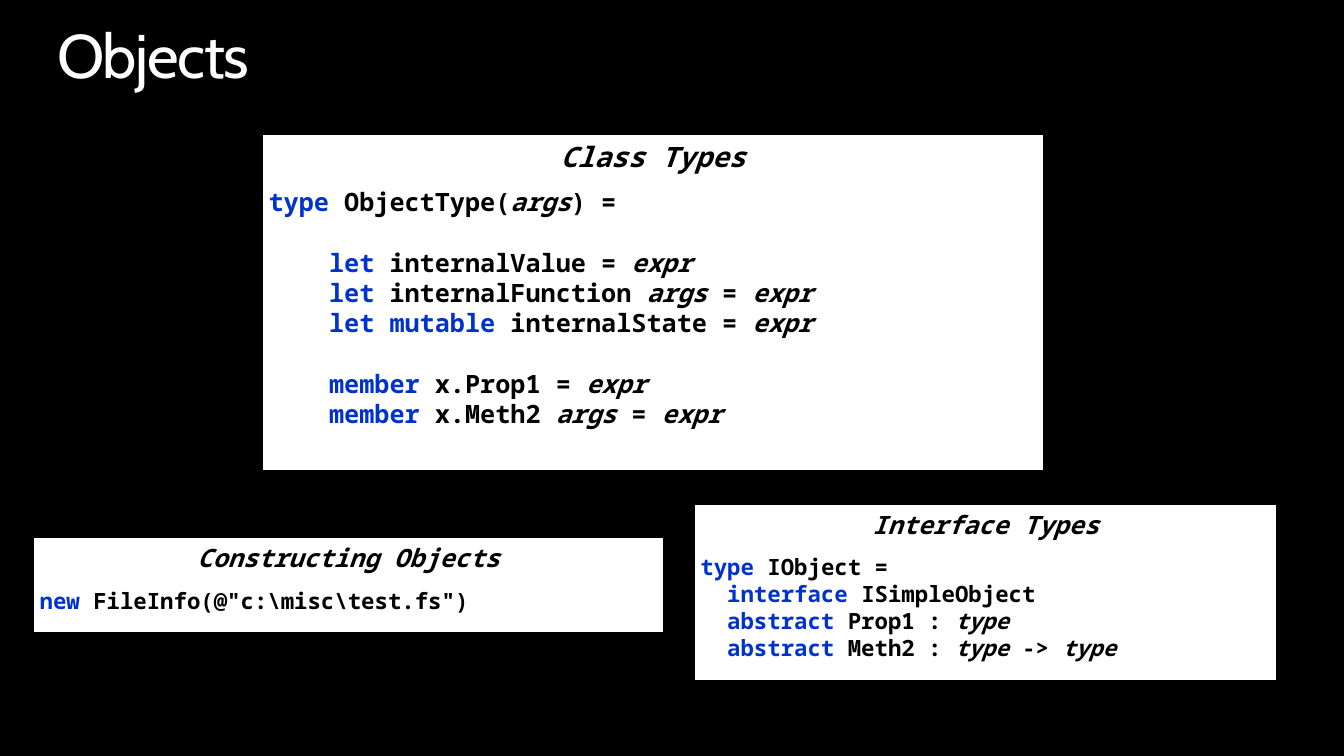
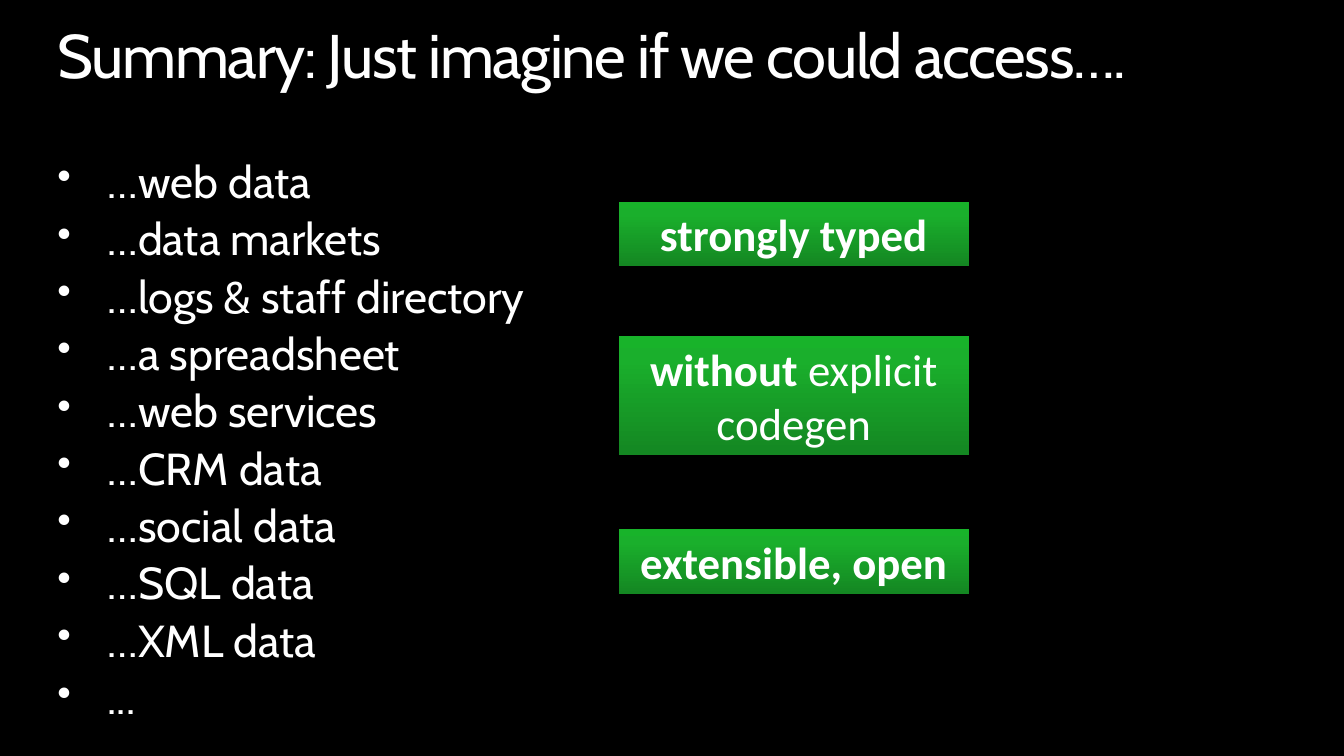
from copy import deepcopy

from pptx import Presentation
from pptx.dml.color import RGBColor
from pptx.enum.shapes import MSO_SHAPE as Shape
from pptx.enum.text import MSO_ANCHOR as Anchor, MSO_AUTO_SIZE as AutoSize, PP_ALIGN as Align
from pptx.oxml.ns import qn
from pptx.util import Pt

BLACK, WHITE, KEYWORD_BLUE = "000000", "FFFFFF", "0033CC"
GREENS = [(0, "148722"), (0.8, "1AAF2C"), (1, "18B32A")]
LEFT, CONTENT_WIDTH = 41, 878

CLASS_CODE = """|type |ObjectType(*args*) =

    |let |internalValue = *expr*
    |let |internalFunction *args *= *expr*
    |let mutable |internalState = *expr*

    |member |x.Prop1 = *expr*
    |member |x.Meth2 *args* = *expr*"""

INTERFACE_CODE = """|type |IObject =
  |interface |ISimpleObject
  |abstract |Prop1 : *type*
  |abstract |Meth2 : *type* -> *type*"""

CONSTRUCTION_CODE = r'|new |FileInfo(@"c:\misc\test.fs")'

DATA_SOURCES = [
    "…web data", "…data markets", "…logs & staff directory", "…a spreadsheet",
    "…web services", "…CRM data", "…social data", "…SQL data", "…XML data", "...",
]


def rgb(color):
    return RGBColor.from_string(color)


def set_all(target, values):
    for name, value in values.items():
        setattr(target, name, value)


def set_font(font, style):
    values = dict(style)
    font.color.rgb = rgb(values.pop("color"))
    set_all(font, values)


class Deck:
    TITLE = dict(name="Cabin", size=Pt(44), color=WHITE)
    BODY = dict(name="Cabin", size=Pt(32), color=WHITE)
    CODE = dict(name="Noto Sans Mono", bold=True, color=BLACK)
    CALLOUT = dict(name="Calibri", size=Pt(32), color=WHITE)

    def __init__(self):
        self.presentation = Presentation()
        set_all(self.presentation, dict(slide_width=Pt(960), slide_height=Pt(540)))
        self.slide = None

    def add_slide(self, title):
        self.slide = self.presentation.slides.add_slide(self.presentation.slide_layouts[6])
        fill = self.slide.background.fill
        fill.solid()
        fill.fore_color.rgb = rgb(BLACK)
        paragraph = self.text_box(18, 48).paragraphs[0]
        paragraph.line_spacing = 0.9
        run = self.add_run(paragraph, title, self.TITLE)
        run.font._element.set("spc", "-100")

    def frame(self, shape, horizontal, vertical, **values):
        """Set the insets and wrapping of a shape and return its text frame."""
        text_frame = shape.text_frame
        set_all(text_frame, dict(
            margin_left=Pt(horizontal), margin_right=Pt(horizontal),
            margin_top=Pt(vertical), margin_bottom=Pt(vertical),
            word_wrap=True, **values))
        return text_frame

    def text_box(self, top, height):
        shape = self.slide.shapes.add_textbox(Pt(LEFT), Pt(top), Pt(CONTENT_WIDTH), Pt(height))
        return self.frame(shape, 0, 0)

    def add_shape(self, kind, box):
        shape = self.slide.shapes.add_shape(kind, *map(Pt, box))
        shape.shadow.inherit = False
        return shape

    def add_run(self, paragraph, text, style):
        run = paragraph.add_run()
        run.text = text
        set_font(run.font, style)
        return run

    def add_marked(self, paragraph, text, style, keyword, emphasis):
        """Add runs, with |keyword| and *emphasis* marks changing the style."""
        for i, part in enumerate(text.split("|")):
            for j, piece in enumerate(part.split("*")):
                if piece:
                    extra = {**(keyword if i % 2 else {}), **(emphasis if j % 2 else {})}
                    self.add_run(paragraph, piece, {**style, **extra})

    def bullets(self, items, top, height):
        text_frame = self.text_box(top, height)
        for index, item in enumerate(items):
            paragraph = text_frame.add_paragraph() if index else text_frame.paragraphs[0]
            properties = paragraph._p.get_or_add_pPr()
            properties.set("marL", str(Pt(36)))
            properties.set("indent", str(-Pt(36)))
            for tag, name, value in (("a:buSzPct", "val", "90000"), ("a:buChar", "char", "•")):
                properties.append(properties.makeelement(qn(tag), {name: value}))
            set_all(paragraph, dict(line_spacing=0.9, space_before=Pt(6.4 if index else 0)))
            set_font(paragraph.font, self.BODY)
            self.add_run(paragraph, item, self.BODY)

    def code_panel(self, heading, code, box, heading_size, code_size):
        shape = self.add_shape(Shape.RECTANGLE, box)
        shape.fill.solid()
        shape.fill.fore_color.rgb = rgb(WHITE)
        shape.line.color.rgb = rgb(BLACK)
        shape.line.width = Pt(0.75)
        text_frame = self.frame(shape, 4.3, 3.6, vertical_anchor=Anchor.TOP)
        paragraph = text_frame.paragraphs[0]
        set_all(paragraph, dict(alignment=Align.CENTER, space_after=Pt(10)))
        self.add_run(paragraph, heading, {**self.CODE, "size": Pt(heading_size), "italic": True})
        gap = 0
        for line in code.split("\n"):
            if not line:
                gap = 1.2 * code_size
                continue
            paragraph = text_frame.add_paragraph()
            set_all(paragraph, dict(alignment=Align.LEFT, space_before=Pt(gap)))
            self.add_marked(paragraph, line, {**self.CODE, "size": Pt(code_size)},
                            keyword=dict(color=KEYWORD_BLUE), emphasis=dict(italic=True))
            gap = 0

    def callout(self, text, top, height):
        shape = self.add_shape(Shape.RECTANGULAR_CALLOUT, (442, top, 250, height))
        shape.adjustments[0], shape.adjustments[1] = -0.27, -0.5
        shape.line.fill.background()
        fill = shape.fill
        fill.gradient()
        fill.gradient_angle = 90
        stop_list = shape._element.spPr.find(".//" + qn("a:gsLst"))
        stop_list.append(deepcopy(stop_list[-1]))
        for stop, (position, color) in zip(fill.gradient_stops, GREENS):
            stop.position = position
            stop.color.rgb = rgb(color)
        text_frame = self.frame(shape, 7.2, 3.6, vertical_anchor=Anchor.MIDDLE,
                                auto_size=AutoSize.SHAPE_TO_FIT_TEXT)
        paragraph = text_frame.paragraphs[0]
        paragraph.alignment = Align.CENTER
        self.add_marked(paragraph, text, self.CALLOUT, keyword={}, emphasis=dict(bold=True))


def main():
    deck = Deck()

    deck.add_slide("Objects")
    deck.code_panel("Interface Types", INTERFACE_CODE, (496, 360, 416, 126), 18, 16)
    deck.code_panel("Class Types", CLASS_CODE, (187.5, 95.75, 558, 240), 20, 18)
    deck.code_panel("Constructing Objects", CONSTRUCTION_CODE, (24, 384, 450, 67.5), 18, 16)

    deck.add_slide("Summary: Just imagine if we could access….")
    deck.bullets(DATA_SOURCES, 114, 410)
    deck.callout("*without *explicit codegen", 240, 85)
    deck.callout("*strongly typed*", 144, 46)
    deck.callout("*extensible, open*", 378, 46)

    deck.presentation.save("out.pptx")


if __name__ == "__main__":
    main()
